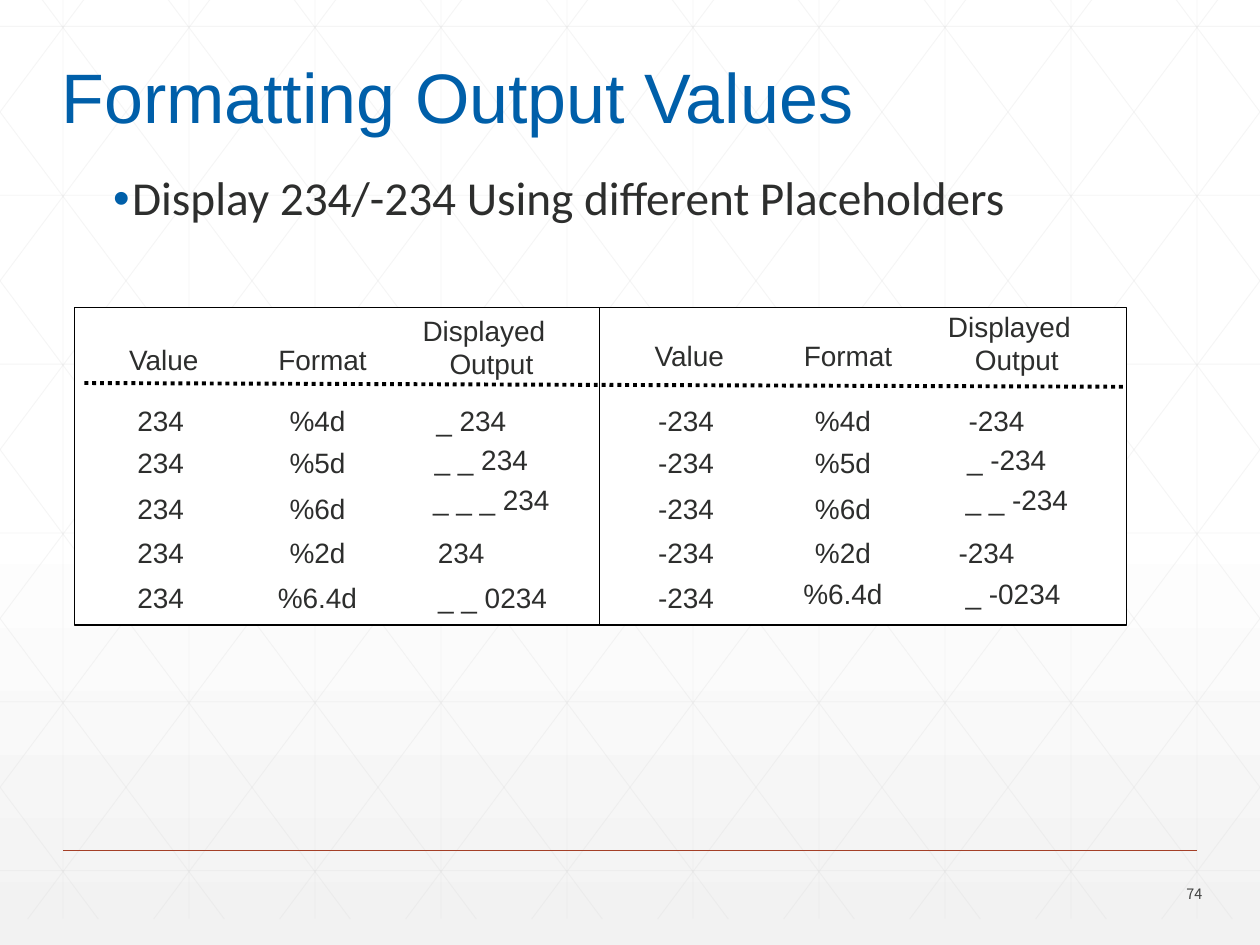
from lxml.etree import SubElement
from pptx import Presentation
from pptx.dml.color import RGBColor
from pptx.enum.dml import MSO_LINE
from pptx.enum.shapes import MSO_CONNECTOR, MSO_SHAPE
from pptx.enum.text import MSO_ANCHOR, PP_ALIGN
from pptx.oxml.ns import qn
from pptx.util import Inches, Pt

WIDE, HIGH = Inches(10), Inches(7.5)
CELL = WIDE // 10
INK, BLUE, BLACK = "2D2E2D", "005FA9", "000000"
ROWS = [3.15, 3.49, 3.85, 4.2, 4.56]
FORMS = ["%4d", "%5d", "%6d", "%2d", "%6.4d"]
HALVES = [
    (0, 0, "234", [
        ("_ 234", 3.19, 3.15, 1.1), ("_ _ 234", 3.27, 3.46, 1.1),
        ("_ _ _ 234", 3.27, 3.78, 1.26), ("234", 3.11, 4.2, 1.1),
        ("_ _ 0234", 3.28, 4.56, 1.26)]),
    (4.17, 0.03, "-234", [
        ("-234", 7.36, 3.15, 1.1), ("_ -234", 7.44, 3.46, 1.1),
        ("_ _ -234", 7.52, 3.78, 1.1), ("-234", 7.28, 4.2, 1.1),
        ("_ -0234", 7.49, 4.53, 1.1)]),
]


def span(*cells):
    return [round(cell * CELL) for cell in cells]


def paint(code):
    return RGBColor.from_string(code)


def fade(node, share):
    SubElement(node, qn("a:alpha"), val=str(share * 1000))


def back(slide):
    slide.background.fill.gradient()
    grad = slide.element.find(".//" + qn("a:gradFill"))
    stops = grad.find(qn("a:gsLst"))
    for stop in list(stops):
        stops.remove(stop)
    for place, code, share in [(0, "FFFFFF", 100), (53, "FFFFFF", 100), (100, "F2F2F2", 65)]:
        stop = SubElement(stops, qn("a:gs"), pos=str(place * 1000))
        tint = SubElement(stop, qn("a:srgbClr"), val=code)
        if share < 100:
            fade(tint, share)
    grad.find(qn("a:lin")).set("ang", "5400000")


def rule(slide, ends, code, size, dash=None, share=100):
    line = slide.shapes.add_connector(MSO_CONNECTOR.STRAIGHT, *span(*ends))
    line.line.color.rgb = paint(code)
    line.line.width = Pt(size)
    if dash:
        line.line.dash_style = dash
    props = line.element.spPr
    SubElement(props, qn("a:effectLst"))
    if share < 100:
        fade(props.find(".//" + qn("a:srgbClr")), share)


def mesh(slide):
    top, foot, slope = -0.21, 7.29, 1.34
    ends = [(col + 0.5, top, col + 0.5, foot) for col in range(10)]
    ends += [(0, 0.21 + slope * row, 10, 0.21 + slope * row) for row in range(6)]
    for step in range(-5, 10):
        start = step + 0.18
        left, right = max(start, 0), min(start + 5.6, 10)
        high = top + (left - start) * slope
        low = top + (right - start) * slope
        ends += [(left, high, right, low), (10 - left, high, 10 - right, low)]
    for line in ends:
        rule(slide, line, "D9D9D9", 0.5, share=25)


def text(slide, words, area, size=16, code=INK, font="Arial",
         align=PP_ALIGN.CENTER, anchor=MSO_ANCHOR.TOP, wrap=True):
    frame = slide.shapes.add_textbox(*span(*area)).text_frame
    frame.word_wrap = wrap
    frame.vertical_anchor = anchor
    para = frame.paragraphs[0]
    para.alignment = align
    run = para.add_run()
    run.text = words
    run.font.size = Pt(size)
    run.font.name = font
    run.font.color.rgb = paint(code)
    return para


def bullet(para, code):
    props = para._p.get_or_add_pPr()
    left, hang = span(0.75, -0.15)
    props.set("marL", str(left))
    props.set("indent", str(hang))
    tint = SubElement(props, qn("a:buClr"))
    SubElement(tint, qn("a:srgbClr"), val=code)
    SubElement(props, qn("a:buFont"), typeface="Arial")
    SubElement(props, qn("a:buChar"), char="•")


def panel(slide, area):
    box = slide.shapes.add_shape(MSO_SHAPE.RECTANGLE, *span(*area))
    box.shadow.inherit = False
    box.fill.solid()
    box.fill.fore_color.rgb = paint("FFFFFF")
    box.line.color.rgb = paint(BLACK)
    box.line.width = Pt(0.75)


def half(slide, shift, lift, value, outs):
    heads = [("Value", 0.59, 2.67), ("Format", 1.85, 2.67),
             ("Displayed", 3.13, 2.44), ("Output", 3.19, 2.7)]
    for word, left, top in heads:
        text(slide, word, (left + shift, top - lift, 1.42, 0.37))
    for top, form, (out, left, high, wide) in zip(ROWS, FORMS, outs):
        text(slide, value, (0.9 + shift, top, 0.75, 0.37))
        drop = lift if form == FORMS[-1] else 0
        text(slide, form, (2 + shift, top - drop, 1.04, 0.37))
        text(slide, out, (left, high, wide, 0.37))


def main():
    deck = Presentation()
    deck.slide_width, deck.slide_height = WIDE, HIGH
    slide = deck.slides.add_slide(deck.slide_layouts[6])
    back(slide)
    mesh(slide)
    rule(slide, (0.5, 6.75, 9.5, 6.75), "A43F27", 1)
    text(slide, "74", (8.89, 6.97, 0.75, 0.24), 8.2, "424342", "Noto Sans CJK TC",
         PP_ALIGN.RIGHT, MSO_ANCHOR.MIDDLE)
    title = text(slide, "Formatting Output Values", (0.39, 0.44, 6.55, 0.71), 40, BLUE,
                 align=PP_ALIGN.LEFT, anchor=MSO_ANCHOR.BOTTOM, wrap=False)
    title.line_spacing = 0.9
    point = text(slide, "Display 234/-234 Using different Placeholders",
                 (0.2, 1.34, 9.43, 6.16), 27, font="Calibri", align=PP_ALIGN.LEFT)
    point.line_spacing = 0.9
    bullet(point, BLUE)
    panel(slide, (0.59, 2.44, 8.35, 2.52))
    rule(slide, (0.67, 3.04, 8.94, 3.07), BLACK, 2.25, MSO_LINE.ROUND_DOT)
    rule(slide, (4.76, 2.44, 4.76, 4.96), BLACK, 0.75)
    for part in HALVES:
        half(slide, *part)
    deck.save("out.pptx")


if __name__ == "__main__":
    main()
